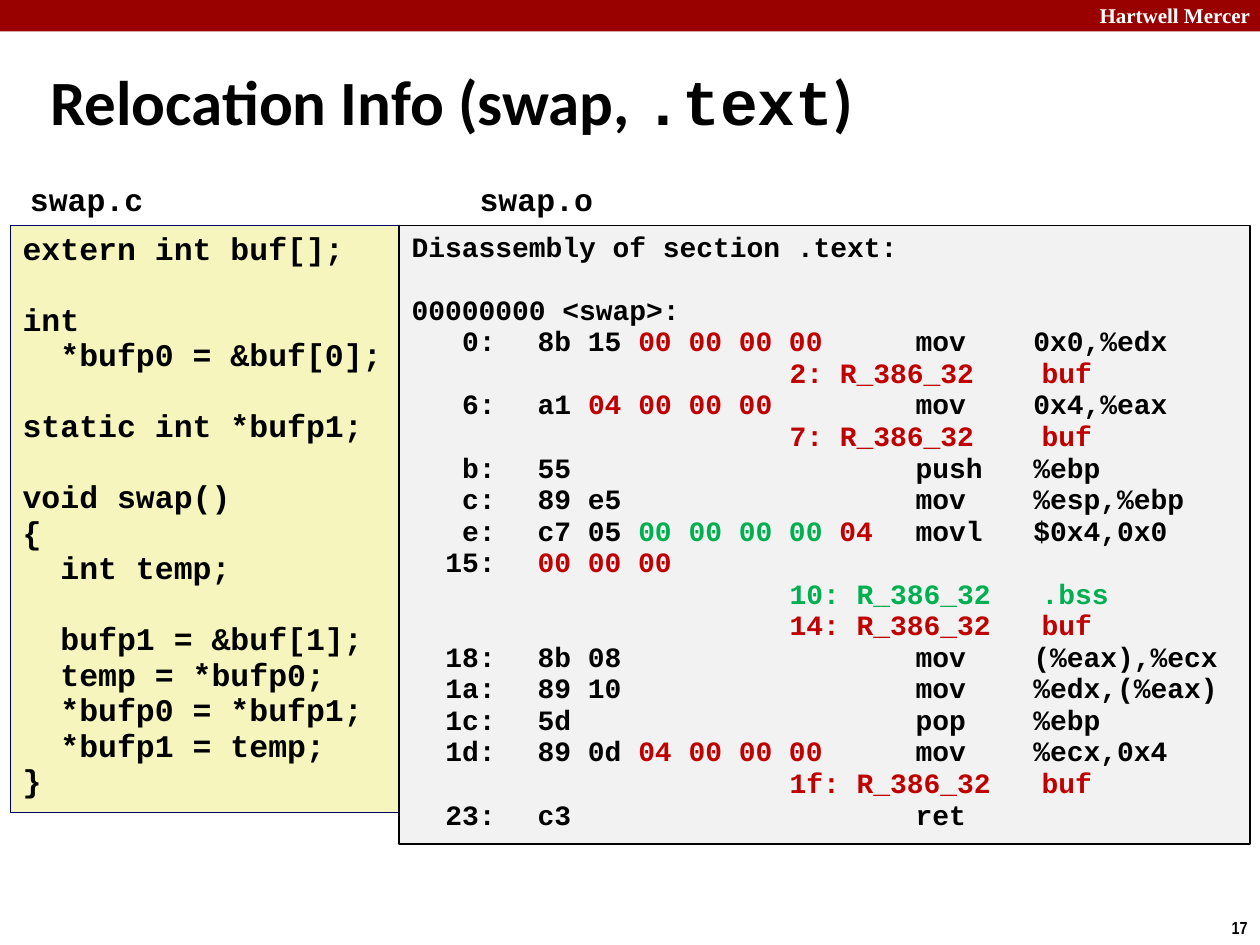
from dataclasses import dataclass

from lxml import etree
from pptx import Presentation
from pptx.dml.color import RGBColor
from pptx.enum.shapes import MSO_SHAPE
from pptx.enum.text import MSO_ANCHOR, PP_ALIGN
from pptx.oxml.ns import qn
from pptx.util import Pt

RECT = MSO_SHAPE.RECTANGLE
TOP, MIDDLE = MSO_ANCHOR.TOP, MSO_ANCHOR.MIDDLE
LEFT, RIGHT = PP_ALIGN.LEFT, PP_ALIGN.RIGHT


@dataclass(frozen=True)
class Theme:
    black: str = "000000"
    white: str = "FFFFFF"
    band: str = "990000"
    cream: str = "F6F5BD"
    navy: str = "000066"
    grey: str = "F2F2F2"
    red: str = "C00000"
    green: str = "00B050"
    sans: str = "Calibri"
    mono: str = "Courier New"
    serif: str = "Times New Roman"
    narrow: str = "Arial Narrow"
    title: int = 36
    code: int = 18
    dump: int = 16
    head: int = 12
    foot: int = 10


class Deck:
    def __init__(self, theme, slide):
        self.theme, self.slide = theme, slide

    def box(self, x, y, w, h, fill, line=None, width=1):
        shape = self.slide.shapes.add_shape(RECT, Pt(x), Pt(y), Pt(w), Pt(h))
        shape.shadow.inherit = False
        shape.fill.solid()
        shape.fill.fore_color.rgb = RGBColor.from_string(fill)
        if line:
            shape.line.color.rgb = RGBColor.from_string(line)
            shape.line.width = Pt(width)
        else:
            shape.line.fill.background()
        shape.text_frame.word_wrap = True
        shape.text_frame.vertical_anchor = TOP
        return shape.text_frame

    def label(self, x, y, w, h, runs, size, face, tint=None, align=LEFT,
              anchor=TOP, pitch=None, wrap=True):
        frame = self.slide.shapes.add_textbox(Pt(x), Pt(y), Pt(w), Pt(h)).text_frame
        frame.word_wrap = wrap
        frame.vertical_anchor = anchor
        self.fill(frame.paragraphs[0], runs, size, face, tint, align, pitch)

    def fill(self, par, runs, size, face, tint=None, align=LEFT, pitch=None,
             gap=0, indent=0, tabs=()):
        """Each run is (text, colour, face); None keeps the paragraph's own."""
        par.alignment = align
        if pitch:
            par.line_spacing = pitch
        if gap:
            par.space_before = Pt(gap)
        props = par._p.get_or_add_pPr()
        if indent:
            props.set("marL", str(Pt(indent)))
        if tabs:
            stops = etree.SubElement(props, qn("a:tabLst"))
            for place, side in tabs:
                etree.SubElement(stops, qn("a:tab"), pos=str(Pt(place)), algn=side)
        par.font.size, par.font.bold = Pt(size), True
        same = len({run[2] for run in runs}) == 1
        if same:
            par.font.name = face
        plain = len({run[1] for run in runs}) == 1
        if plain:
            par.font.color.rgb = RGBColor.from_string(
                runs[0][1] or tint or self.theme.black)
        for text, hue, kind in runs:
            run = par.add_run()
            run.text = text
            if not same:
                run.font.name = kind or face
            if not plain:
                run.font.color.rgb = RGBColor.from_string(
                    hue or tint or self.theme.black)

    def lines(self, frame, rows, size):
        """Each row is (runs, gap before, indent, tab stops)."""
        for i, (runs, gap, indent, tabs) in enumerate(rows):
            par = frame.add_paragraph() if i else frame.paragraphs[0]
            self.fill(par, runs, size, self.theme.mono, pitch=0.94,
                      gap=gap, indent=indent, tabs=tabs)


def plain(text):
    return [(text, None, None)]


theme = Theme()
show = Presentation()
show.slide_width, show.slide_height = Pt(720), Pt(540)
deck = Deck(theme, show.slides.add_slide(show.slide_layouts[6]))

# Top band and page number
deck.box(0, 0, 720, 18, theme.band)
deck.label(600, -2, 121.5, 21.6, plain("Hartwell Mercer"), theme.head,
           theme.serif, theme.white, RIGHT)
deck.label(695.5, 520.5, 24.5, 19.5, plain("17"), theme.foot, theme.narrow,
           align=RIGHT, wrap=False)

# Title
deck.label(21.6, 30.2, 686, 62,
           [("Relocation Info (swap, ", None, None),
            (".text", None, theme.mono), (")", None, None)],
           theme.title, theme.sans, anchor=MIDDLE, pitch=0.82)

# File names
for x, name in ((10, "swap.c"), (267, "swap.o")):
    deck.label(x, 99.4, 80, 28.8, plain(name), theme.code, theme.mono, wrap=False)

# Source code: (text, blank line before, indented)
SOURCE = [
    ("extern int buf[];", 0, 0),
    ("int", 1, 0),
    ("*bufp0 = &buf[0];", 0, 1),
    ("static int *bufp1;", 1, 0),
    ("void swap()", 1, 0),
    ("{", 0, 0),
    ("int temp;", 0, 1),
    ("bufp1 = &buf[1];", 1, 1),
    ("temp = *bufp0;", 0, 1),
    ("*bufp0 = *bufp1;", 0, 1),
    ("*bufp1 = temp;", 0, 1),
    ("}", 0, 0),
]
frame = deck.box(5.8, 128.9, 221.8, 335.5, theme.cream, theme.navy, 0.25)
deck.lines(frame, [(plain(text), gap * 20.3, step * 21.6, ())
                   for text, gap, step in SOURCE], theme.code)

# Disassembly: columns for instructions and for relocation entries
OP_TABS = ((48, "r"), (72, "l"), (288, "l"), (355.2, "l"))
REL_TABS = ((216, "l"), (360, "l"))


def op(addr, code, name="", args="", *marks):
    tail = "".join("\t" + part for part in (name, args) if part)
    runs = [(f"\t{addr}:\t{code}", None, None)]
    runs += [(text, hue, None) for text, hue in marks]
    if tail:
        runs.append((tail, None, None))
    return runs, 0, 0, OP_TABS


def rel(place, name="buf", hue=theme.red):
    return [(f"\t{place}: R_386_32\t{name}", hue, None)], 0, 0, REL_TABS


ZERO, FOUR = ("00 00 00 00", theme.red), ("04 00 00 00", theme.red)
DUMP = [
    (plain("Disassembly of section .text:"), 0, 0, ()),
    (plain("00000000 <swap>:"), 18.1, 0, ()),
    op("0", "8b 15 ", "mov", "0x0,%edx", ZERO),
    rel("2"),
    op("6", "a1 ", "mov", "0x4,%eax", FOUR),
    rel("7"),
    op("b", "55", "push", "%ebp"),
    op("c", "89 e5", "mov", "%esp,%ebp"),
    op("e", "c7 05 ", "movl", "$0x4,0x0",
       ("00 00 00 00 ", theme.green), ("04", theme.red)),
    op("15", "", "", "", ("00 00 00", theme.red)),
    rel("10", ".bss", theme.green),
    rel("14"),
    op("18", "8b 08", "mov", "(%eax),%ecx"),
    op("1a", "89 10", "mov", "%edx,(%eax)"),
    op("1c", "5d", "pop", "%ebp"),
    op("1d", "89 0d ", "mov", "%ecx,0x4", FOUR),
    rel("1f"),
    op("23", "c3", "ret"),
]
frame = deck.box(228.2, 128.9, 486, 353.5, theme.grey, theme.black, 1)
deck.lines(frame, DUMP, theme.dump)

show.save("out.pptx")
